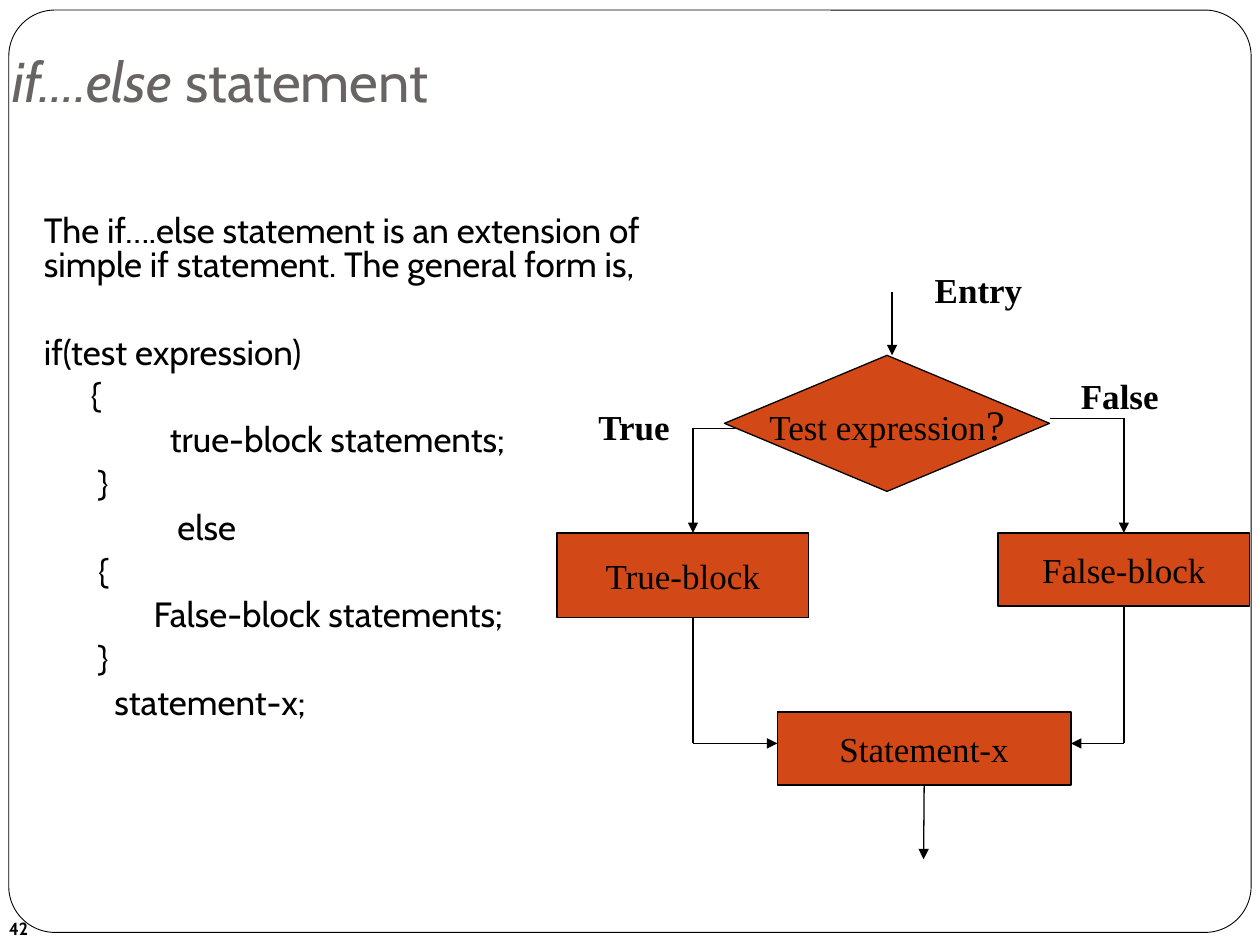
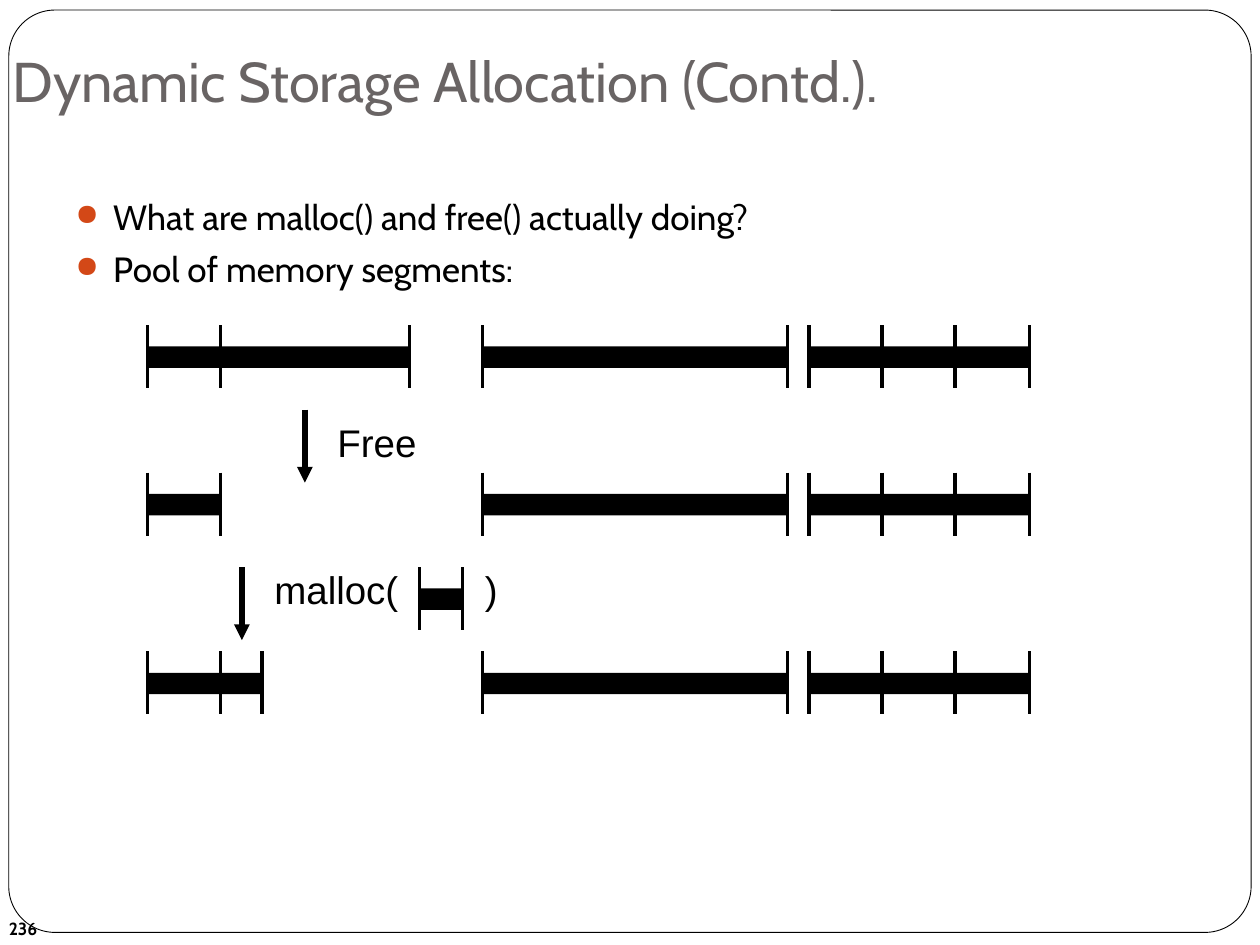
from dataclasses import dataclass
from itertools import pairwise
from typing import Any, NamedTuple

from lxml import etree
from pptx import Presentation
from pptx.dml.color import RGBColor
from pptx.enum.shapes import MSO_CONNECTOR, MSO_SHAPE
from pptx.enum.text import MSO_ANCHOR, MSO_AUTO_SIZE, PP_ALIGN
from pptx.oxml.ns import qn
from pptx.util import Inches, Pt

STRAIGHT = MSO_CONNECTOR.STRAIGHT
RECTANGLE = MSO_SHAPE.RECTANGLE
ROUNDED = MSO_SHAPE.ROUNDED_RECTANGLE
DECISION = MSO_SHAPE.FLOWCHART_DECISION
LEFT, CENTER = PP_ALIGN.LEFT, PP_ALIGN.CENTER
TOP, MIDDLE, BOTTOM = MSO_ANCHOR.TOP, MSO_ANCHOR.MIDDLE, MSO_ANCHOR.BOTTOM
FIT_TEXT = MSO_AUTO_SIZE.SHAPE_TO_FIT_TEXT
TOP_SIDE, BOTTOM_SIDE = 0, 2


@dataclass(frozen=True)
class Theme:
    ink: RGBColor = RGBColor(0x00, 0x00, 0x00)
    paper: RGBColor = RGBColor(0xFF, 0xFF, 0xFF)
    heading: RGBColor = RGBColor(0x69, 0x64, 0x64)
    accent: RGBColor = RGBColor(0xD3, 0x48, 0x17)
    font: str = "Cabin"
    flow_font: str = "Times New Roman"
    call_font: str = "Arial"
    title_size: float = 32
    question_size: float = 24
    call_size: float = 22
    body_size: float = 20
    number_size: float = 10
    paragraph_gap: float = 5.8
    frame_line: float = 0.5
    flow_line: float = 0.75
    tick_line: float = 2
    step_line: float = 3


THEME = Theme()


class Area(NamedTuple):
    left: float
    top: float
    width: float
    height: float


class Span(NamedTuple):
    text: str
    italic: bool = False
    size: float | None = None


class CodeLine(NamedTuple):
    text: str
    indent: float = 0
    gap: float = THEME.paragraph_gap


class Block(NamedTuple):
    name: str
    area: Area
    spans: list[Span]
    shape: Any = RECTANGLE


class Label(NamedTuple):
    text: str
    area: Area


class Join(NamedTuple):
    block: str
    side: int


@dataclass(frozen=True)
class FlowLine:
    start: tuple[float, float]
    end: tuple[float, float]
    arrow: bool = True
    start_join: Join | None = None
    end_join: Join | None = None


class MemoryRow(NamedTuple):
    top: float
    pools: list[tuple[float, ...]]


def place(area: Area) -> list[int]:
    return [Inches(length) for length in area]


def add_text(frame: Any, spans: list[Span], *, font: str = THEME.font,
             size: float = THEME.body_size, color: RGBColor = THEME.ink,
             bold: bool = False, align: Any = LEFT, spacing: float = 1,
             gap: float = 0, indent: float = 0, bullet: str = "") -> None:
    para = frame.paragraphs[0]
    if para.runs:
        para = frame.add_paragraph()
    para.alignment = align
    para.line_spacing = spacing
    para.space_before = Pt(gap)
    properties = para._p.get_or_add_pPr()
    properties.set("marL", str(Inches(indent)))
    properties.set("indent", str(Inches(-indent if bullet else 0)))
    if bullet:
        bullet_color = etree.SubElement(properties, qn("a:buClr"))
        etree.SubElement(bullet_color, qn("a:srgbClr"), val=str(THEME.accent))
        etree.SubElement(properties, qn("a:buSzPct"), val="85000")
        etree.SubElement(properties, qn("a:buChar"), char=bullet)
    for span in spans:
        run = para.add_run()
        run.text = span.text
        run.font.name = font
        run.font.size = Pt(span.size or size)
        run.font.bold = bold
        run.font.italic = span.italic
        run.font.color.rgb = color


def add_box(page: Any, area: Area, *, anchor: Any = TOP, wrap: bool = True,
            fit: bool = False) -> Any:
    frame = page.shapes.add_textbox(*place(area)).text_frame
    frame.word_wrap = wrap
    frame.vertical_anchor = anchor
    if fit:
        frame.auto_size = FIT_TEXT
    return frame


def add_panel(page: Any, kind: Any, area: Area, fill: RGBColor,
              line_width: float = 0) -> Any:
    panel = page.shapes.add_shape(kind, *place(area))
    panel.shadow.inherit = False
    panel.fill.solid()
    panel.fill.fore_color.rgb = fill
    if line_width:
        panel.line.color.rgb = THEME.ink
        panel.line.width = Pt(line_width)
    else:
        panel.line.fill.background()
    return panel


def add_line(page: Any, start: tuple[float, float], end: tuple[float, float],
             width: float, arrow: bool = False) -> Any:
    points = [Inches(length) for length in (*start, *end)]
    connector = page.shapes.add_connector(STRAIGHT, *points)
    connector.line.color.rgb = THEME.ink
    connector.line.width = Pt(width)
    if arrow:
        etree.SubElement(connector.line._get_or_add_ln(), qn("a:tailEnd"), type="triangle")
    etree.SubElement(connector._element.spPr, qn("a:effectLst"))
    return connector


def add_page(deck: Any, number: int, title: list[Span]) -> Any:
    page = deck.slides.add_slide(deck.slide_layouts[6])
    frame = add_panel(page, ROUNDED, Area(0.07, 0.08, 9.86, 7.32), THEME.paper,
                      THEME.frame_line)
    frame.adjustments[0] = 0.05
    number_box = add_box(page, Area(0, 7.17, 2.3, 0.4), anchor=MIDDLE)
    number_box.margin_left = Inches(0.07)
    add_text(number_box, [Span(str(number))], size=THEME.number_size, bold=True)
    title_box = add_box(page, Area(0, 0, 8.27, 1), anchor=BOTTOM)
    title_box.margin_bottom = Inches(0.1)
    add_text(title_box, title, size=THEME.title_size, color=THEME.heading)
    return page


CODE = [
    CodeLine("The if….else statement is an extension of simple if statement. "
             "The general form is,"),
    CodeLine("if(test expression)", gap=31),
    CodeLine("{", 0.37),
    CodeLine("true-block statements;", 1),
    CodeLine("}", 0.43),
    CodeLine("else", 1.06),
    CodeLine("{", 0.43),
    CodeLine("False-block statements;", 0.87),
    CodeLine("}", 0.43),
    CodeLine("statement-x;", 0.56),
]

BLOCKS = [
    Block("test", Area(5.75, 2.82, 2.58, 1.08),
          [Span("Test expression"), Span("?", size=THEME.question_size)], DECISION),
    Block("true", Area(4.42, 4.23, 2, 0.67), [Span("True-block")]),
    Block("false", Area(7.92, 4.23, 2, 0.58), [Span("False-block")]),
    Block("next", Area(6.17, 5.65, 2.33, 0.58), [Span("Statement-x")]),
]

TRUE_X, FALSE_X = 5.5, 8.92
TRUE_Y, FALSE_Y = 3.4, 3.32
BRANCH_END, MERGE_Y = 4.23, 5.9
FLOW_LINES = [
    FlowLine((7.08, 2.32), (7.08, 2.82)),
    FlowLine((7.33, 6.23), (7.33, 6.82), start_join=Join("next", BOTTOM_SIDE)),
    FlowLine((TRUE_X, MERGE_Y), (6.17, MERGE_Y)),
    FlowLine((FALSE_X, MERGE_Y), (8.5, MERGE_Y)),
    FlowLine((TRUE_X, 4.9), (TRUE_X, MERGE_Y), arrow=False),
    FlowLine((FALSE_X, 4.82), (FALSE_X, MERGE_Y), arrow=False,
             start_join=Join("false", BOTTOM_SIDE)),
    FlowLine((5.83, TRUE_Y), (TRUE_X, TRUE_Y), arrow=False),
    FlowLine((8.33, FALSE_Y), (FALSE_X, FALSE_Y), arrow=False),
    FlowLine((TRUE_X, TRUE_Y), (TRUE_X, BRANCH_END)),
    FlowLine((FALSE_X, FALSE_Y), (FALSE_X, BRANCH_END),
             end_join=Join("false", TOP_SIDE)),
]

FLOW_LABELS = [
    Label("Entry", Area(7.32, 2.08, 0.9, 0.43)),
    Label("True", Area(4.65, 3.17, 0.79, 0.43)),
    Label("False", Area(8.48, 2.92, 0.82, 0.43)),
]

FIXED_POOLS = [(3.83, 6.25), (6.42, 7, 7.58, 8.17)]
MEMORY_ROWS = [
    MemoryRow(2.58, [(1.17, 1.75, 3.25), *FIXED_POOLS]),
    MemoryRow(3.75, [(1.17, 1.75), *FIXED_POOLS]),
    MemoryRow(4.5, [(3.33, 3.67)]),
    MemoryRow(5.17, [(1.17, 1.75, 2.08), *FIXED_POOLS]),
]
TICK_HEIGHT, BAR_HEIGHT = 0.5, 0.17

CALL_LABELS = [
    Label("Free", Area(2.58, 3.33, 0.83, 0.41)),
    Label("malloc(", Area(2.08, 4.5, 1.5, 0.41)),
    Label(")", Area(3.75, 4.5, 0.33, 0.41)),
]
STEP_STARTS = [(2.42, 3.25), (1.92, 4.5)]
STEP_LENGTH = 0.58


def add_block(page: Any, block: Block) -> Any:
    panel = add_panel(page, block.shape, block.area, THEME.accent, THEME.flow_line)
    panel.text_frame.word_wrap = False
    panel.text_frame.vertical_anchor = MIDDLE
    add_text(panel.text_frame, block.spans, font=THEME.flow_font, align=CENTER)
    return panel


def add_flow_line(page: Any, flow: FlowLine, panels: dict[str, Any]) -> None:
    connector = add_line(page, flow.start, flow.end, THEME.flow_line, flow.arrow)
    if flow.start_join:
        connector.begin_connect(panels[flow.start_join.block], flow.start_join.side)
    if flow.end_join:
        connector.end_connect(panels[flow.end_join.block], flow.end_join.side)


def add_pool(page: Any, edges: tuple[float, ...], top: float) -> None:
    for left, right in pairwise(edges):
        area = Area(left, top + BAR_HEIGHT, right - left, BAR_HEIGHT)
        add_panel(page, RECTANGLE, area, THEME.ink)
    for edge in edges:
        add_line(page, (edge, top), (edge, top + TICK_HEIGHT), THEME.tick_line)


def build_if_else(deck: Any) -> None:
    page = add_page(deck, 42, [Span("if….else", italic=True), Span(" statement")])
    body = add_box(page, Area(0.25, 1.67, 5.42, 4.74))
    for line in CODE:
        add_text(body, [Span(line.text)], spacing=0.8, gap=line.gap, indent=line.indent)
    panels = {block.name: add_block(page, block) for block in BLOCKS}
    for flow in FLOW_LINES:
        add_flow_line(page, flow, panels)
    for label in FLOW_LABELS:
        box = add_box(page, label.area, wrap=False, fit=True)
        add_text(box, [Span(label.text)], font=THEME.flow_font, bold=True)


def build_allocation(deck: Any) -> None:
    page = add_page(deck, 236, [Span("Dynamic Storage Allocation (Contd.).")])
    body = add_box(page, Area(0.5, 1.5, 9, 5.5))
    for text in ("What are malloc() and free() actually doing?", "Pool of memory segments:"):
        add_text(body, [Span(text)], gap=THEME.paragraph_gap, indent=0.3, bullet="●")
    for row in MEMORY_ROWS:
        for edges in row.pools:
            add_pool(page, edges, row.top)
    for left, top in STEP_STARTS:
        add_line(page, (left, top), (left, top + STEP_LENGTH), THEME.step_line, arrow=True)
    for label in CALL_LABELS:
        add_text(add_box(page, label.area, fit=True), [Span(label.text)],
                 font=THEME.call_font, size=THEME.call_size, spacing=0.85)


def main() -> None:
    deck = Presentation()
    deck.slide_width, deck.slide_height = Inches(10), Inches(7.5)
    build_if_else(deck)
    build_allocation(deck)
    deck.save("out.pptx")


if __name__ == "__main__":
    main()
